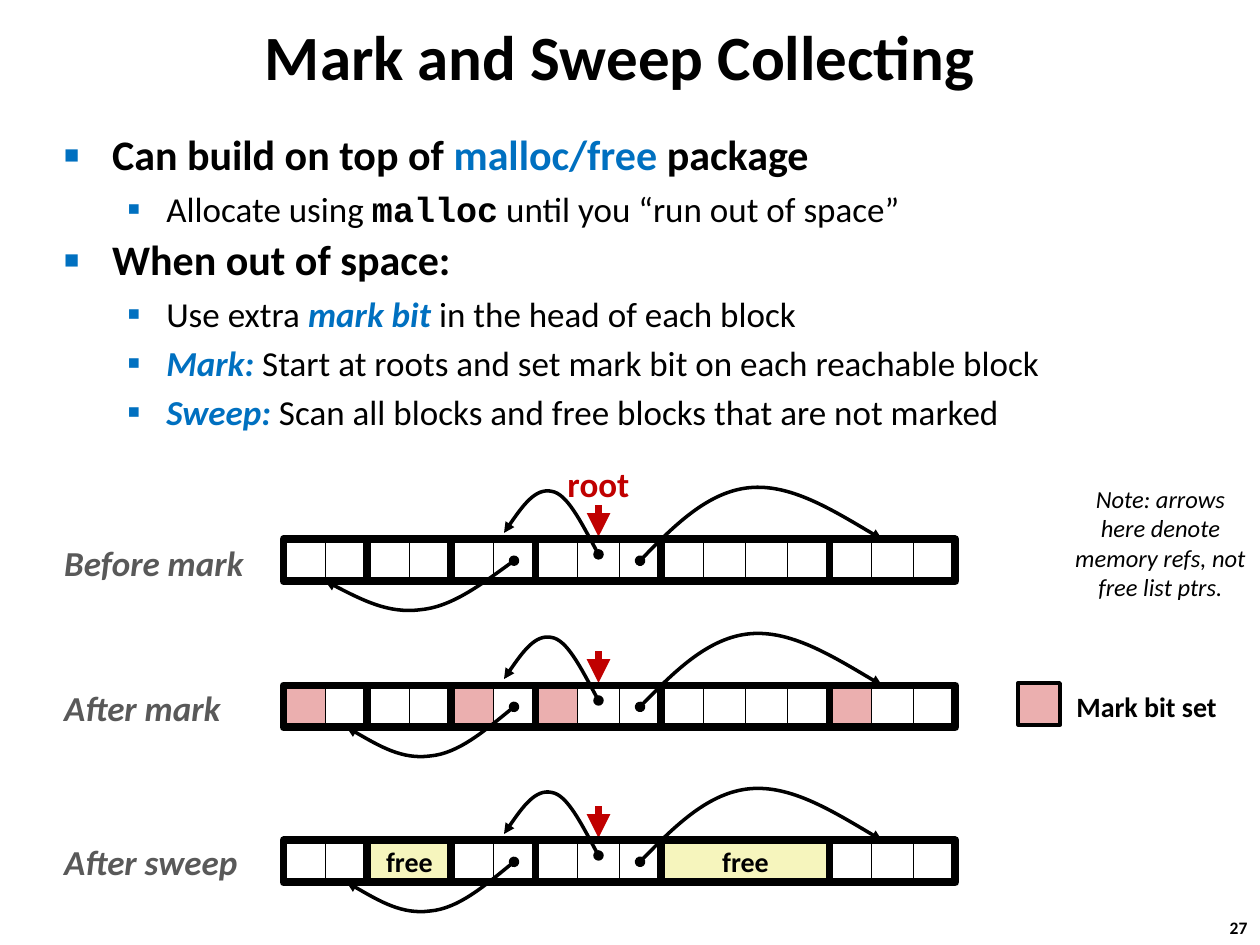
from lxml import etree
from pptx import Presentation
from pptx.dml.color import RGBColor
from pptx.enum import shapes, text
from pptx.oxml.ns import qn
from pptx.util import Inches, Pt

BLACK = RGBColor(0x00, 0x00, 0x00)
BLUE = RGBColor(0x00, 0x70, 0xC0)
RED = RGBColor(0xC0, 0x00, 0x00)
GRAY = RGBColor(0x59, 0x59, 0x59)
PINK = RGBColor(0xEB, 0xAF, 0xAF)
YELLOW = RGBColor(0xF6, 0xF5, 0xBD)
LEFT, CENTER = text.PP_ALIGN.LEFT, text.PP_ALIGN.CENTER
RECTANGLE = shapes.MSO_SHAPE.RECTANGLE


def write(paragraph, words, color=BLACK, **format_values):
    run = paragraph.add_run()
    run.text = words
    run.font.color.rgb = color
    for name, value in {"name": "Calibri", **format_values}.items():
        setattr(run.font, name, value)


def outline(shape, width, color=BLACK, **ends):
    shape.line.color.rgb = color
    shape.line.width = Pt(width)
    properties = shape._element.spPr
    for tag, kind in ends.items():
        etree.SubElement(properties.find(qn("a:ln")), qn(f"a:{tag}"), type=kind)
    etree.SubElement(properties, qn("a:effectLst"))


presentation = Presentation()
presentation.slide_width, presentation.slide_height = Inches(10), Inches(7.5)
slide = presentation.slides.add_slide(presentation.slide_layouts[1])

title, body = slide.placeholders
for placeholder, (left, top, width, height) in (
    (title, (1.01, 0.17, 7.82, 0.63)),
    (body, (0.41, 1, 9.09, 2.63)),
):
    placeholder.left, placeholder.top = Inches(left), Inches(top)
    placeholder.width, placeholder.height = Inches(width), Inches(height)
    placeholder.text_frame.auto_size = text.MSO_AUTO_SIZE.NONE

paragraph = title.text_frame.paragraphs[0]
paragraph.alignment = CENTER
paragraph.line_spacing = 0.87
write(paragraph, "Mark and Sweep Collecting", size=Pt(36), bold=True)

strong = {"color": BLUE, "bold": True, "italic": True}
bullets = [
    (0, [("Can build on top of ", {}), ("malloc/free ", {"color": BLUE}), ("package", {})]),
    (1, [("Allocate using ", {}), ("malloc", {"name": "Courier New", "bold": True}),
         (" until you “run out of space”", {})]),
    (0, [("When out of space:", {})]),
    (1, [("Use extra ", {}), ("mark bit ", strong), ("in the head of each block", {})]),
    (1, [("Mark: ", strong), ("Start at roots and set mark bit on each reachable block", {})]),
    (1, [("Sweep: ", strong), ("Scan all blocks and free blocks that are not marked", {})]),
]
levels = [
    {"margin": 0.38, "indent": -0.38, "mark": "■", "percent": 60, "size": 24, "bold": True},
    {"margin": 0.81, "indent": -0.31, "mark": "▪", "percent": 110, "size": 20, "bold": False},
]
for index, (level, runs) in enumerate(bullets):
    style = levels[level]
    frame = body.text_frame
    paragraph = frame.add_paragraph() if index else frame.paragraphs[0]
    paragraph.level = level
    properties = paragraph._p.get_or_add_pPr()
    properties.set("marL", str(Inches(style["margin"])))
    properties.set("indent", str(Inches(style["indent"])))
    bullet_color = etree.SubElement(properties, qn("a:buClr"))
    etree.SubElement(bullet_color, qn("a:srgbClr"), val=str(BLUE))
    etree.SubElement(properties, qn("a:buSzPct"), val=str(style["percent"] * 1000))
    etree.SubElement(properties, qn("a:buChar"), char=style["mark"])
    if level == 0:
        paragraph.line_spacing = 0.95
    if index == 0:
        paragraph.space_before = Pt(0)
    for words, changes in runs:
        write(paragraph, words, **{"size": Pt(style["size"]), "bold": style["bold"], **changes})

CELL = 1 / 3
HEAP_LEFT = 2.25
BLOCK_CELLS = [2, 2, 2, 3, 4, 3]
rows = [
    {"top": 4.28, "target": 2.58, "marked": [], "free": []},
    {"top": 5.44, "target": 2.75, "marked": [0, 2, 3, 5], "free": []},
    {"top": 6.67, "target": 2.75, "marked": [], "free": [1, 4]},
]
root_curve = [(4.75, 0.12), (4.62, -0.12), (4.5, -0.36), (4.38, -0.38),
              (4.25, -0.41), (4.12, -0.23), (4, -0.05)]
forward_curve = [(5.08, 0.17), (5.35, -0.11), (5.63, -0.38), (5.95, -0.41),
                 (6.27, -0.44), (6.63, -0.22), (7, 0)]
back_depths = [0.17, 0.35, 0.54, 0.56, 0.59, 0.46, 0.33]

for row in rows:
    top = row["top"]
    block_lefts = [HEAP_LEFT + CELL * sum(BLOCK_CELLS[:i]) for i in range(len(BLOCK_CELLS))]

    for index in row["marked"]:
        mark = slide.shapes.add_shape(
            RECTANGLE, Inches(block_lefts[index]), Inches(top), Inches(CELL), Inches(CELL))
        mark.fill.solid()
        mark.fill.fore_color.rgb = PINK
        outline(mark, 0.75)

    back_curve = [(4.08 + (row["target"] - 4.08) * i / 6, depth)
                  for i, depth in enumerate(back_depths)]
    for curve in (root_curve, forward_curve, back_curve):
        points = [(Inches(x), Inches(top + y)) for x, y in curve]
        builder = slide.shapes.build_freeform(*points[0])
        builder.add_line_segments(points[1:], close=False)
        reference = builder.convert_to_shape()
        reference.fill.background()
        outline(reference, 2, headEnd="oval", tailEnd="triangle")
        drawn_path = reference._element.find(".//" + qn("a:path"))
        segments = drawn_path.findall(qn("a:lnTo"))
        for start in (0, 3):
            bezier = etree.SubElement(drawn_path, qn("a:cubicBezTo"))
            for segment in segments[start:start + 3]:
                bezier.append(segment[0])
                drawn_path.remove(segment)

    root_arrow = slide.shapes.add_connector(
        shapes.MSO_CONNECTOR.STRAIGHT,
        Inches(4.75), Inches(top - 0.27), Inches(4.75), Inches(top - 0.02))
    outline(root_arrow, 4.5, RED, tailEnd="triangle")

    for index, (left, cells) in enumerate(zip(block_lefts, BLOCK_CELLS)):
        block = slide.shapes.add_shape(
            RECTANGLE, Inches(left), Inches(top), Inches(cells * CELL), Inches(CELL))
        outline(block, 4.5)
        if index in row["free"]:
            block.fill.solid()
            block.fill.fore_color.rgb = YELLOW
            block.text_frame.word_wrap = False
            paragraph = block.text_frame.paragraphs[0]
            paragraph.alignment = CENTER
            write(paragraph, "free", size=Pt(16), bold=True)
            continue
        block.fill.background()
        for cell in range(1, cells):
            x = Inches(left + cell * CELL)
            divider = slide.shapes.add_connector(
                shapes.MSO_CONNECTOR.STRAIGHT, x, Inches(top), x, Inches(top + CELL))
            outline(divider, 1 if index in row["marked"] and cell == 1 else 0.5)
            if cell * 2 == cells:
                divider.begin_connect(block, 0)
                divider.end_connect(block, 2)

legend = slide.shapes.add_shape(RECTANGLE, Inches(8.08), Inches(5.42), Inches(CELL), Inches(CELL))
legend.fill.solid()
legend.fill.fore_color.rgb = PINK
outline(legend, 2)

row_name = {"size": Pt(20), "color": GRAY, "bold": True, "italic": True}
labels = [
    ("Before mark", (0.51, 4.25, 1.6, 0.44), LEFT, row_name),
    ("After mark", (0.51, 5.4, 1.6, 0.44), LEFT, row_name),
    ("After sweep", (0.51, 6.62, 1.6, 0.44), LEFT, row_name),
    ("root", (4.4, 3.62, 0.7, 0.44), CENTER, {"size": Pt(20), "color": RED, "bold": True}),
    ("Mark bit set", (8.4, 5.42, 1.4, 0.37), CENTER, {"size": Pt(16), "bold": True}),
    ("Note: arrows here denote memory refs, not free list ptrs.",
     (8.52, 3.79, 1.38, 1.04), CENTER, {"size": Pt(14), "italic": True}),
    ("27", (9.66, 7.23, 0.34, 0.27), CENTER, {"size": Pt(10), "bold": True}),
]
for words, box, alignment, format_values in labels:
    label = slide.shapes.add_textbox(*map(Inches, box))
    label.text_frame.word_wrap = True
    label.text_frame.margin_left = label.text_frame.margin_right = 0
    paragraph = label.text_frame.paragraphs[0]
    paragraph.alignment = alignment
    write(paragraph, words, **format_values)

presentation.save("out.pptx")
